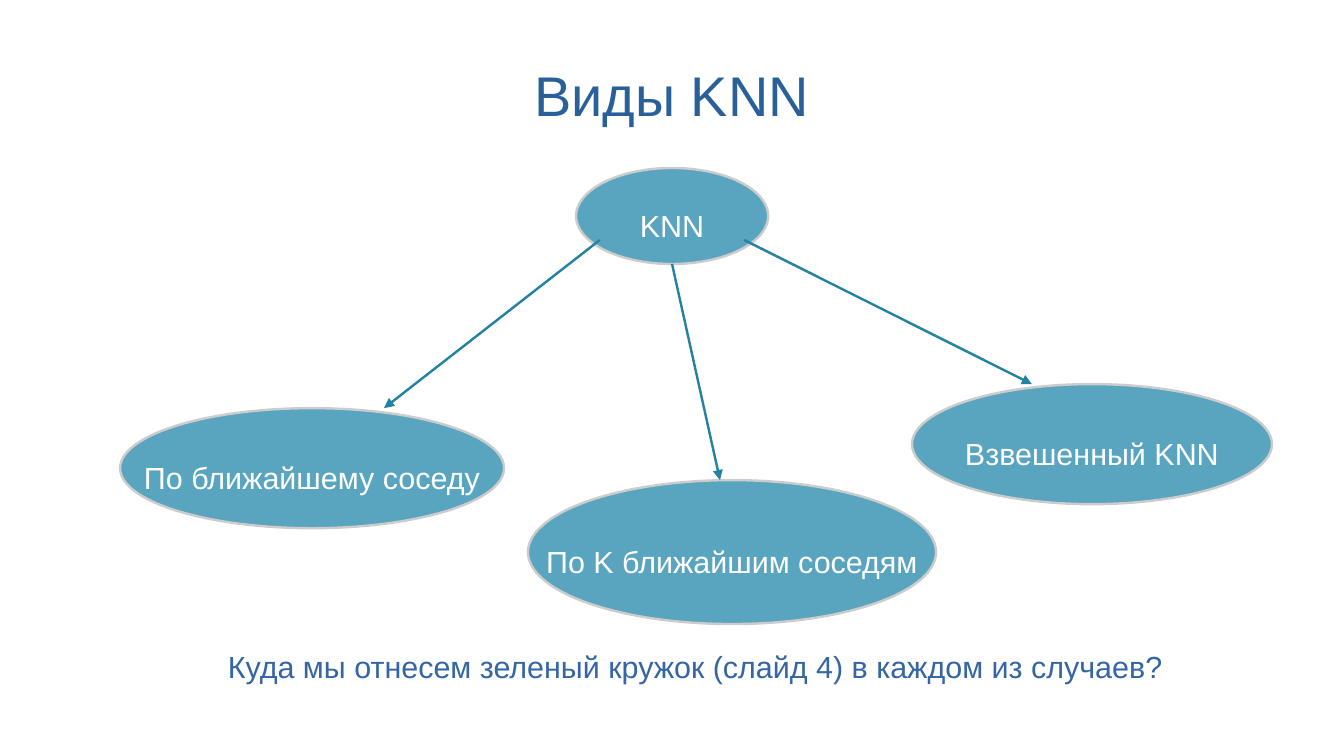
from lxml.etree import SubElement
from pptx import Presentation
from pptx.dml.color import RGBColor
from pptx.enum.shapes import MSO_CONNECTOR, MSO_SHAPE
from pptx.enum.text import MSO_ANCHOR, MSO_AUTO_SIZE, PP_ALIGN
from pptx.oxml.ns import qn
from pptx.util import Pt

TITLE_BLUE = RGBColor(0x2A, 0x60, 0x99)
QUESTION_BLUE = RGBColor(0x34, 0x65, 0xA4)
NODE_FILL = RGBColor(0x59, 0xA5, 0xBF)
NODE_LINE = RGBColor(0xCC, 0xCC, 0xCC)
ARROW_TEAL = RGBColor(0x23, 0x82, 0xA1)
WHITE = RGBColor(0xFF, 0xFF, 0xFF)

NODES = [
    ("KNN", 340.2, 99.2, 113.4, 56.7),
    ("По ближайшему соседу", 70.9, 241, 226.8, 70.9),
    ("По K ближайшим соседям", 311.8, 283.5, 241, 85),
    ("Взвешенный KNN", 538.6, 226.8, 212.6, 70.9),
]
ARROWS = [
    (396.9, 155.9, 425.2, 283.5),
    (439.4, 141.7, 609.4, 226.8),
    (354.3, 141.7, 226.8, 241),
]


class SlideBuilder:
    """Draws styled text, ellipses and arrows on one slide."""

    font_name = "Arial"
    line_width = Pt(1.42)

    def __init__(self, slide):
        self.slide = slide

    def set_text(self, shape, text, size, color, line_spacing, frame_format):
        frame = shape.text_frame
        for name, value in frame_format.items():
            setattr(frame, name, value)
        paragraph = frame.paragraphs[0]
        paragraph.text = text
        paragraph.alignment = PP_ALIGN.CENTER
        paragraph.line_spacing = line_spacing
        for name, value in {"name": self.font_name, "size": Pt(size)}.items():
            setattr(paragraph.font, name, value)
        paragraph.font.color.rgb = color

    def text_box(self, text, box, size, color, line_spacing, frame_format):
        shape = self.slide.shapes.add_textbox(*map(Pt, box))
        self.set_text(shape, text, size, color, line_spacing, frame_format)

    def ellipse(self, text, *box):
        shape = self.slide.shapes.add_shape(MSO_SHAPE.OVAL, *map(Pt, box))
        shape.shadow.inherit = False
        shape.fill.solid()
        shape.fill.fore_color.rgb = NODE_FILL
        shape.line.color.rgb = NODE_LINE
        shape.line.width = self.line_width
        frame_format = {"word_wrap": False, "vertical_anchor": MSO_ANCHOR.MIDDLE}
        self.set_text(shape, text, 18, WHITE, 1.5, frame_format)

    def arrow(self, *ends):
        connector = self.slide.shapes.add_connector(MSO_CONNECTOR.STRAIGHT, *map(Pt, ends))
        connector.line.color.rgb = ARROW_TEAL
        connector.line.width = self.line_width
        properties = connector._element.spPr
        SubElement(properties.find(qn("a:ln")), qn("a:tailEnd"), type="triangle")
        SubElement(properties, qn("a:effectLst"))


def main():
    presentation = Presentation()
    presentation.slide_width = Pt(793.7)
    presentation.slide_height = Pt(446.4)
    builder = SlideBuilder(presentation.slides.add_slide(presentation.slide_layouts[6]))

    margins = ("margin_left", "margin_top", "margin_right", "margin_bottom")
    title_format = {
        "word_wrap": True,
        "vertical_anchor": MSO_ANCHOR.MIDDLE,
        **dict.fromkeys(margins, 0),
    }
    builder.text_box("Виды KNN", (39.6, 18, 714.2, 74.9), 33, TITLE_BLUE, 1, title_format)
    for node in NODES:
        builder.ellipse(*node)
    for ends in ARROWS:
        builder.arrow(*ends)
    question_format = {"word_wrap": False, "auto_size": MSO_AUTO_SIZE.SHAPE_TO_FIT_TEXT}
    builder.text_box(
        "Куда мы отнесем зеленый кружок (слайд 4) в каждом из случаев?",
        (127.4, 368.6, 566.6, 37.4), 18, QUESTION_BLUE, 1.5, question_format,
    )
    presentation.save("out.pptx")


if __name__ == "__main__":
    main()
